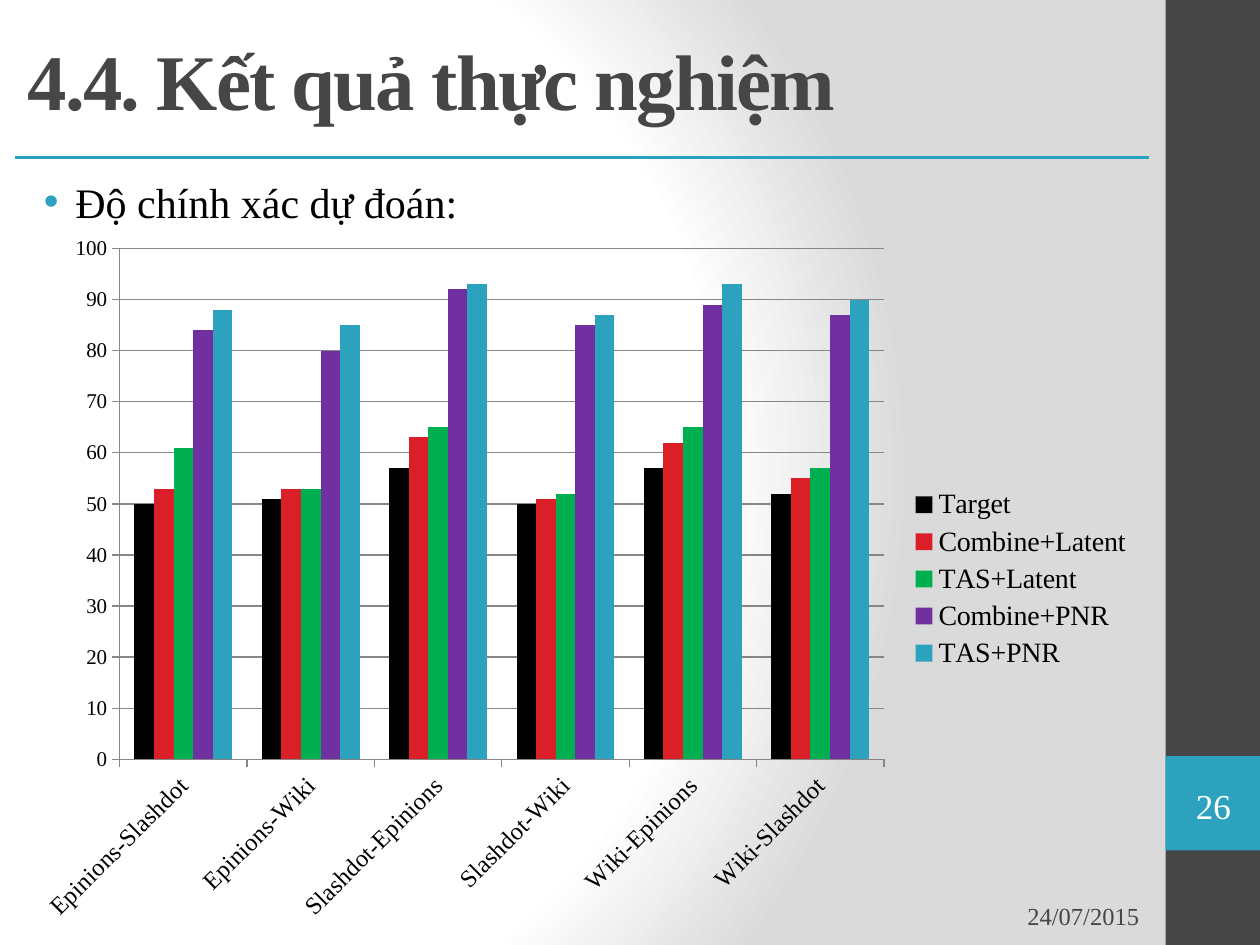
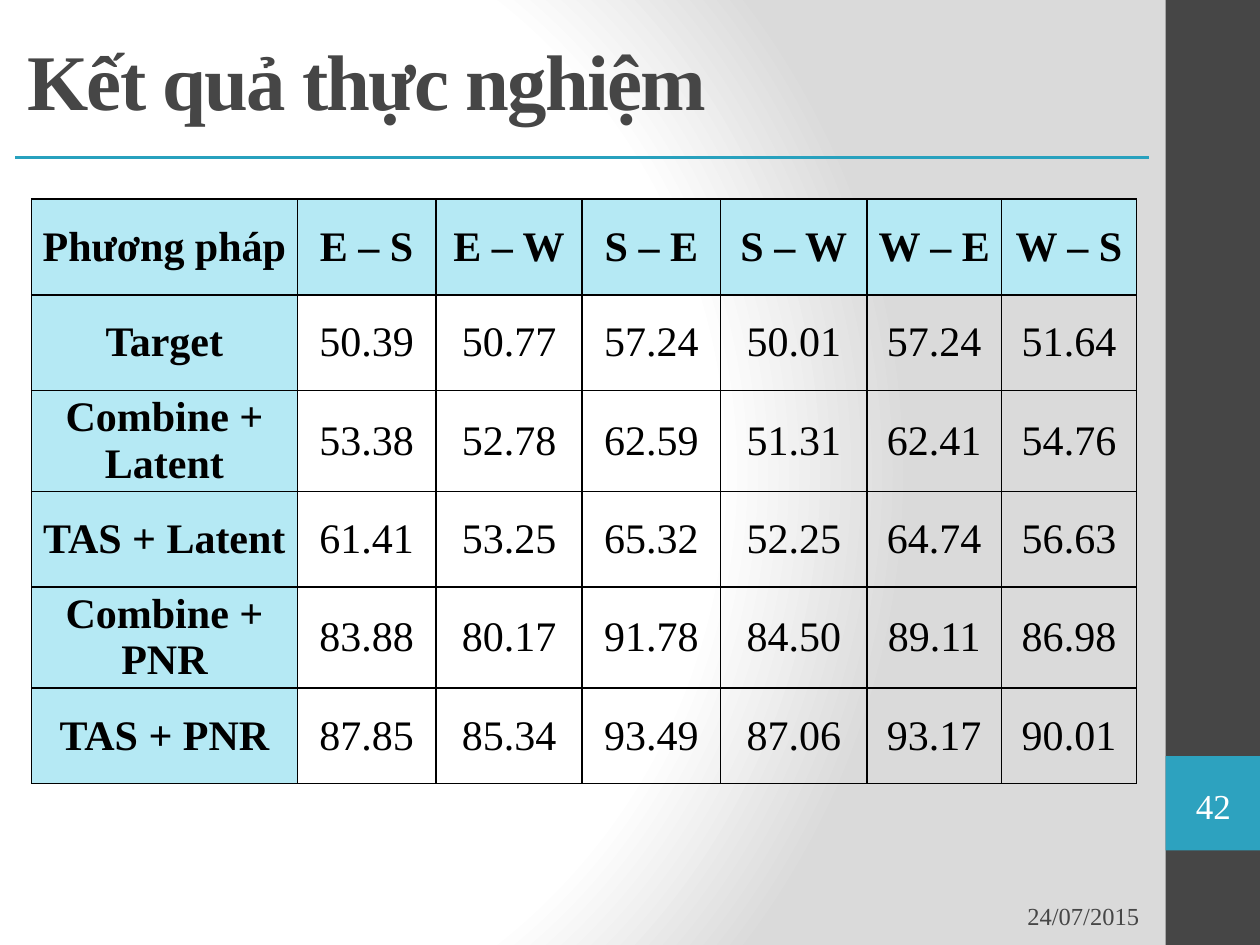
from lxml import etree
from pptx import Presentation
from pptx.chart.data import CategoryChartData
from pptx.dml.color import RGBColor
from pptx.enum.chart import XL_CHART_TYPE, XL_LEGEND_POSITION, XL_TICK_MARK
from pptx.enum.shapes import MSO_CONNECTOR, MSO_SHAPE
from pptx.enum.text import MSO_ANCHOR, PP_ALIGN
from pptx.oxml import parse_xml
from pptx.oxml.ns import nsdecls, qn
from pptx.util import Inches, Pt

# Content
DATE = "24/07/2015"
CHART_PAGE = {"title": "4.4. Kết quả thực nghiệm", "number": 26}
TABLE_PAGE = {"title": "Kết quả thực nghiệm", "number": 42}
CHART_INTRO = "Độ chính xác dự đoán:"
METHOD_HEADING = "Phương pháp"
TRANSFERS = [
    ("Epinions", "Slashdot"), ("Epinions", "Wiki"), ("Slashdot", "Epinions"),
    ("Slashdot", "Wiki"), ("Wiki", "Epinions"), ("Wiki", "Slashdot"),
]
ACCURACY = {
    "Target": (50.39, 50.77, 57.24, 50.01, 57.24, 51.64),
    "Combine + Latent": (53.38, 52.78, 62.59, 51.31, 62.41, 54.76),
    "TAS + Latent": (61.41, 53.25, 65.32, 52.25, 64.74, 56.63),
    "Combine + PNR": (83.88, 80.17, 91.78, 84.50, 89.11, 86.98),
    "TAS + PNR": (87.85, 85.34, 93.49, 87.06, 93.17, 90.01),
}

# Style
FONT = "Times New Roman"
BLACK = RGBColor(0x00, 0x00, 0x00)
WHITE = RGBColor(0xFF, 0xFF, 0xFF)
DARK = RGBColor(0x46, 0x46, 0x46)
TEAL = RGBColor(0x2D, 0xA2, 0xBF)
RULE = RGBColor(0x28, 0xA1, 0xBE)
PALE = RGBColor(0xB5, 0xE9, 0xF4)
GRID = RGBColor(0x86, 0x86, 0x86)
EDGE = RGBColor(0xDA, 0xDA, 0xDA)
SERIES_COLORS = [BLACK, RGBColor(0xDA, 0x1F, 0x28), RGBColor(0x00, 0xB0, 0x50),
                 RGBColor(0x70, 0x30, 0xA0), TEAL]
LEFT, CENTER, RIGHT = PP_ALIGN.LEFT, PP_ALIGN.CENTER, PP_ALIGN.RIGHT
TOP, MIDDLE = MSO_ANCHOR.TOP, MSO_ANCHOR.MIDDLE
RECT, BRACKETS = MSO_SHAPE.RECTANGLE, MSO_SHAPE.DOUBLE_BRACKET

# Geometry in inches
W, H = 10, 7.5
BAND_X, BAND_W = 9.25, 0.75
MARGIN, BODY_W, TITLE_H = 0.12, 9, 1.25
COLUMN_WIDTHS = [2.11, 1.1, 1.16, 1.1, 1.16, 1.07, 1.07]
ROW_H = 0.76


def box(*lengths):
    return [Inches(v) for v in lengths]


def write(tf, text, size, color=BLACK, bold=False, align=LEFT, anchor=TOP,
          spacing=None, bullet=None):
    tf.word_wrap = True
    tf.vertical_anchor = anchor
    p = tf.paragraphs[0]
    p.alignment = align
    if bullet:
        pPr = p._p.get_or_add_pPr()
        pPr.set("marL", str(Inches(0.38)))
        pPr.set("indent", str(Inches(-0.25)))
        clr = etree.SubElement(pPr, qn("a:buClr"))
        etree.SubElement(clr, qn("a:srgbClr"), val=str(TEAL))
        etree.SubElement(pPr, qn("a:buFont"), typeface="Arial")
        etree.SubElement(pPr, qn("a:buChar"), char=bullet)
    r = p.add_run()
    r.text = text
    r.font.name, r.font.size, r.font.bold = FONT, Pt(size), bold
    r.font.color.rgb = color
    if spacing:
        r._r.get_or_add_rPr().set("spc", str(spacing * 100))


def add_text(s, at, text, size, **fmt):
    write(s.shapes.add_textbox(*box(*at)).text_frame, text, size, **fmt)


def add_block(s, at, fill=None, shape=RECT):
    sp = s.shapes.add_shape(shape, *box(*at))
    sp.shadow.inherit = False
    sp.line.fill.background()
    if fill is None:
        sp.fill.background()
    else:
        sp.fill.solid()
        sp.fill.fore_color.rgb = fill
    return sp


def set_background(s):
    stops = "".join(f'<a:gs pos="{pos * 1000}"><a:srgbClr val="{c}"/></a:gs>'
                    for pos, c in ((0, WHITE), (75, WHITE), (100, EDGE)))
    s.element.cSld.insert(0, parse_xml(
        f'<p:bg {nsdecls("p", "a")}><p:bgPr><a:gradFill rotWithShape="1">'
        f'<a:gsLst>{stops}</a:gsLst><a:path path="circle">'
        '<a:fillToRect l="20000" t="50000" r="100000" b="50000"/></a:path>'
        '</a:gradFill><a:effectLst/></p:bgPr></p:bg>'))


def add_page(prs, title, number):
    s = prs.slides.add_slide(prs.slide_layouts[6])
    set_background(s)
    # Side band and page tile
    add_block(s, (BAND_X, 0, BAND_W, H), DARK)
    add_block(s, (BAND_X, 0.8 * H, BAND_W, BAND_W), TEAL)
    # Title and rule
    rule = s.shapes.add_connector(
        MSO_CONNECTOR.STRAIGHT, *box(MARGIN, TITLE_H, MARGIN + BODY_W, TITLE_H))
    rule.line.color.rgb = RULE
    rule.line.width = Pt(2.25)
    etree.SubElement(rule._element.spPr, qn("a:effectLst"))
    add_text(s, (MARGIN, 0, BODY_W, TITLE_H), title, 45, color=DARK, bold=True,
             anchor=MIDDLE, spacing=-1)
    # Date and page number
    add_text(s, (6.47, 7.07, 2.67, 0.4), DATE, 14, color=DARK, align=RIGHT,
             anchor=MIDDLE)
    tf = add_block(s, (9.33, 6.18, 0.6, 0.43), shape=BRACKETS).text_frame
    tf.margin_left = tf.margin_right = tf.margin_top = tf.margin_bottom = 0
    write(tf, str(number), 20, color=WHITE, align=CENTER, anchor=MIDDLE)
    return s


def set_font(font, size):
    font.name, font.size, font.bold = FONT, Pt(size), False
    font.color.rgb = BLACK


def add_accuracy_chart(s, at):
    data = CategoryChartData(number_format="0")
    data.categories = ["-".join(pair) for pair in TRANSFERS]
    for method, values in ACCURACY.items():
        data.add_series(method.replace(" + ", "+"), [int(v + 0.5) for v in values])
    chart = s.shapes.add_chart(XL_CHART_TYPE.COLUMN_CLUSTERED, *box(*at), data).chart
    chart.has_title = False
    set_font(chart.font, 10)
    # Columns
    plot = chart.plots[0]
    plot.gap_width, plot.overlap, plot.vary_by_categories = 150, 0, False
    for series, color in zip(plot.series, SERIES_COLORS):
        series.format.fill.solid()
        series.format.fill.fore_color.rgb = color
    # Axes
    cat, val = chart.category_axis, chart.value_axis
    for axis, size in ((cat, 14), (val, 12)):
        set_font(axis.tick_labels.font, size)
        axis.major_tick_mark = XL_TICK_MARK.OUTSIDE
        axis.format.line.color.rgb = GRID
    cat._element.txPr.find(qn("a:bodyPr")).set("rot", str(-45 * 60000))
    val.minimum_scale, val.maximum_scale, val.major_unit = 0, 100, 10
    val.tick_labels.number_format = "0"
    val.tick_labels.number_format_is_linked = False
    val.major_gridlines.format.line.color.rgb = GRID
    # Legend
    chart.has_legend = True
    chart.legend.position = XL_LEGEND_POSITION.RIGHT
    chart.legend.include_in_layout = False
    set_font(chart.legend.font, 16)


def style_cell(cell, fill):
    cell.margin_left = cell.margin_right = Inches(0.07)
    cell.margin_top = cell.margin_bottom = 0
    cell.vertical_anchor = MIDDLE
    tcPr = cell._tc.get_or_add_tcPr()
    for side in "LRTB":
        ln = etree.SubElement(tcPr, qn(f"a:ln{side}"), w=str(Pt(1)))
        line_fill = etree.SubElement(ln, qn("a:solidFill"))
        etree.SubElement(line_fill, qn("a:srgbClr"), val=str(BLACK))
    if fill is None:
        cell.fill.background()
    else:
        cell.fill.solid()
        cell.fill.fore_color.rgb = fill


def add_accuracy_table(s, left, top):
    rows = [[METHOD_HEADING] + [f"{a[0]} – {b[0]}" for a, b in TRANSFERS]]
    rows += [[method] + [f"{v:.2f}" for v in values]
             for method, values in ACCURACY.items()]
    table = s.shapes.add_table(
        len(rows), len(COLUMN_WIDTHS),
        *box(left, top, sum(COLUMN_WIDTHS), ROW_H * len(rows))).table
    for column, width in zip(table.columns, COLUMN_WIDTHS):
        column.width = Inches(width)
    for i, row in enumerate(rows):
        table.rows[i].height = Inches(ROW_H)
        for j, text in enumerate(row):
            heading = i == 0 or j == 0
            cell = table.cell(i, j)
            write(cell.text_frame, text, 24, bold=heading, align=CENTER)
            style_cell(cell, PALE if heading else None)


def main():
    prs = Presentation()
    prs.slide_width, prs.slide_height = box(W, H)

    # Accuracy as a chart
    s = add_page(prs, **CHART_PAGE)
    add_text(s, (MARGIN, 1.35, BODY_W, 0.5), CHART_INTRO, 24, bullet="•")
    add_accuracy_chart(s, (0.17, 1.77, 8.92, 5.65))

    # Accuracy as a table
    s = add_page(prs, **TABLE_PAGE)
    add_accuracy_table(s, 0.25, 1.58)

    prs.save("out.pptx")


if __name__ == "__main__":
    main()
